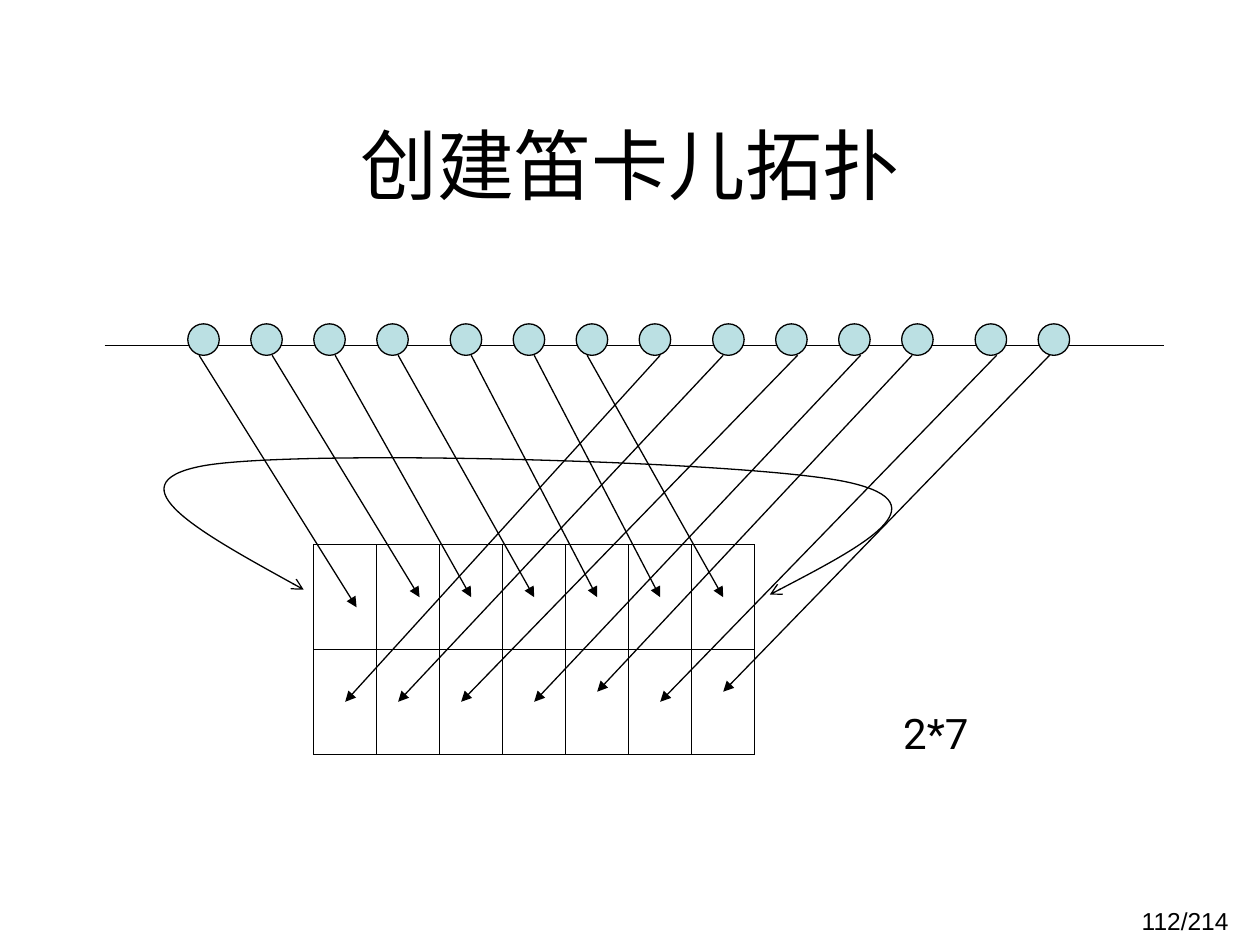
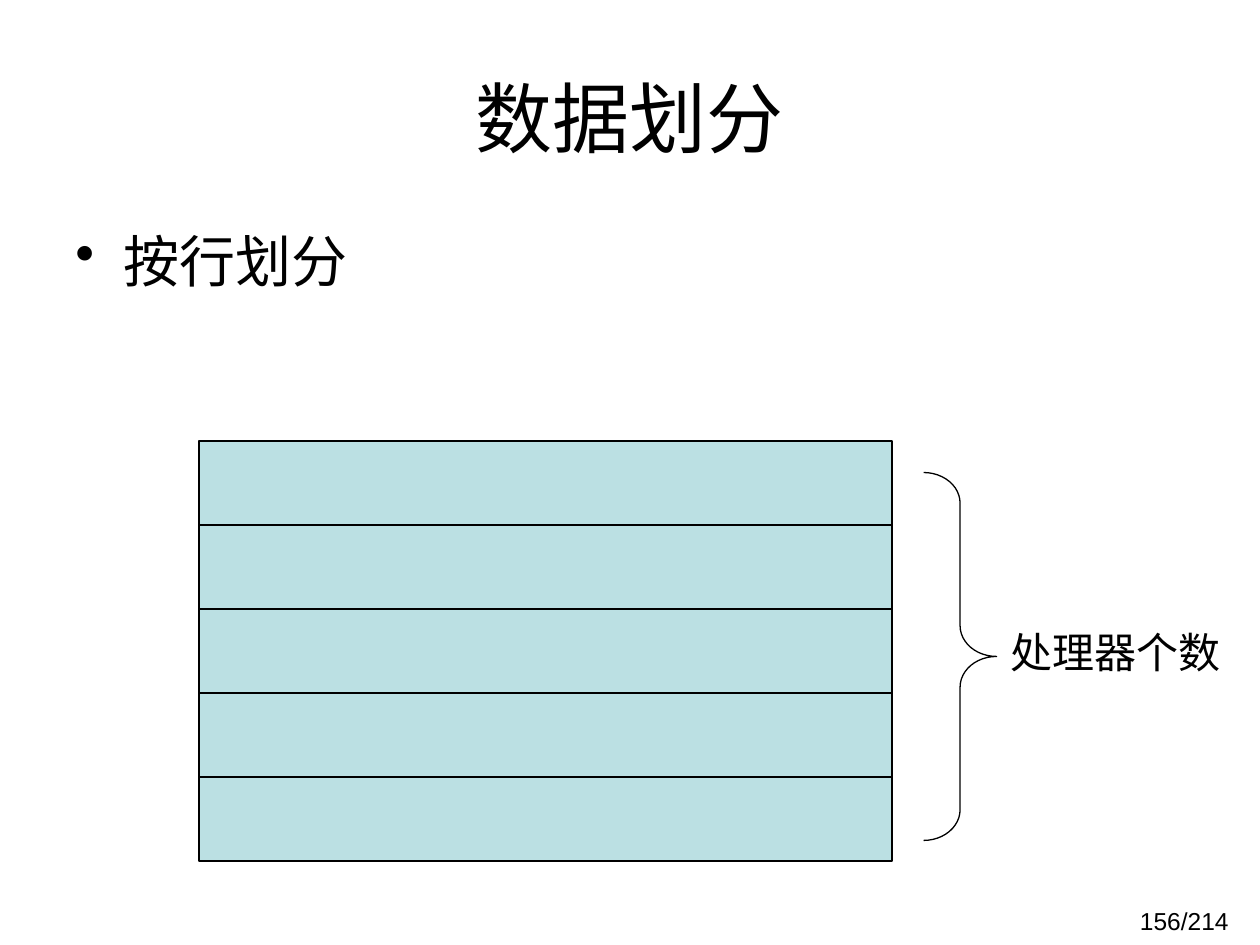
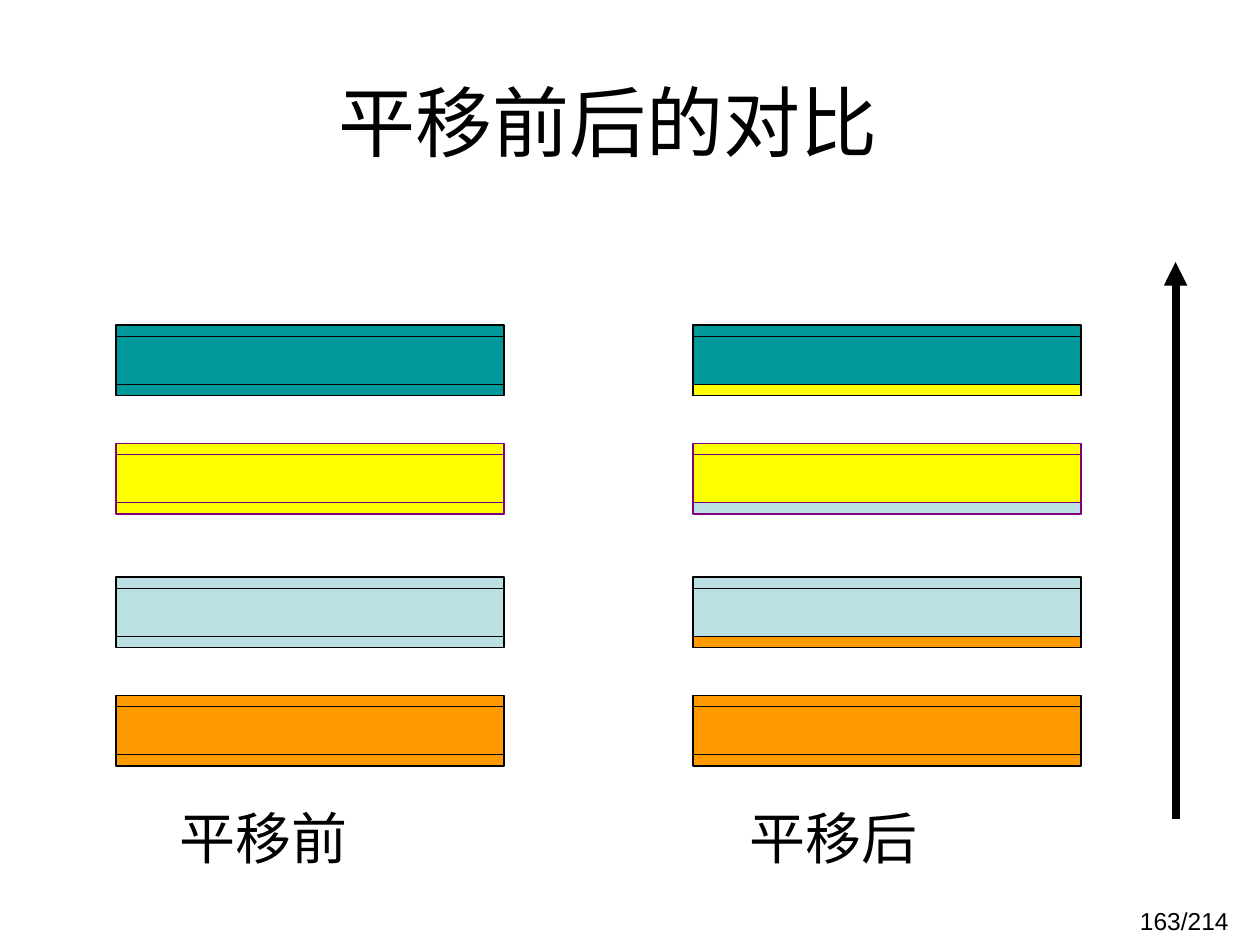
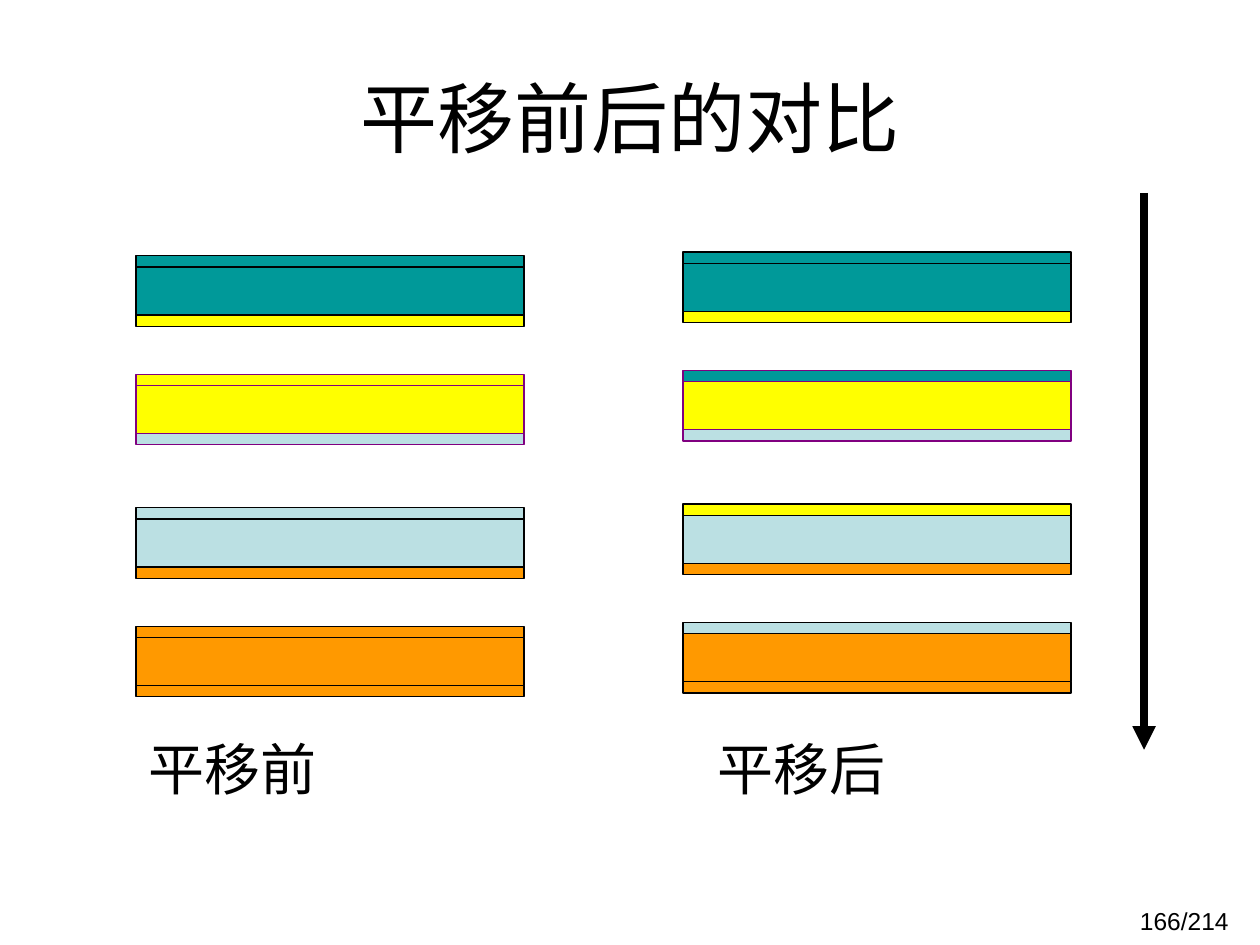
from typing import NamedTuple

from lxml import etree
from pptx import Presentation
from pptx import util as u
from pptx.dml.color import RGBColor
from pptx.enum import shapes, text
from pptx.oxml.ns import qn

BLACK, PURPLE = "000000", "800080"
TEAL, YELLOW, PALE_BLUE, ORANGE = "009999", "FFFF00", "BBE0E3", "FF9900"
TITLE_FONT, LABEL_FONT = "Arial", "Roboto"
THIN, THICK = 0.75, 4.5
PAGE_COUNT = 214


class Box(NamedTuple):
    left: float
    top: float
    width: float
    height: float

    def lengths(self) -> list:
        return [u.Inches(value) for value in self]


class Point(NamedTuple):
    x: float
    y: float


class Mapping(NamedTuple):
    """Arrow from a process on the line to its cell in the grid."""
    start_x: float
    end_x: float
    end_y: float


class Strip(NamedTuple):
    """One processor's block of rows."""
    offset: float
    fill: str
    outline: str


TITLE_BOX = Box(0.5, 0.3, 9, 1.25)
PAGE_BOX = Box(7.52, 7.14, 2.33, 0.36)

MAPPINGS = [
    Mapping(1.58, 2.83, 4.82), Mapping(2.16, 3.33, 4.74),
    Mapping(2.66, 3.74, 4.74), Mapping(3.16, 4.24, 4.74),
    Mapping(3.74, 4.74, 4.74), Mapping(4.24, 5.24, 4.74),
    Mapping(4.66, 5.74, 4.74), Mapping(5.24, 2.74, 5.57),
    Mapping(5.74, 3.16, 5.57), Mapping(6.33, 3.66, 5.57),
    Mapping(6.83, 4.24, 5.57), Mapping(7.24, 4.74, 5.49),
    Mapping(7.91, 5.24, 5.57), Mapping(8.33, 5.74, 5.49),
]

# Start point, then two control points and an end point per curve
WRAPAROUND = [
    Point(2.41, 4.68),
    Point(1.65, 4.26), Point(0.88, 3.84), Point(1.6, 3.7),
    Point(2.32, 3.56), Point(5.99, 3.66), Point(6.74, 3.83),
    Point(7.49, 4), Point(6.8, 4.36), Point(6.11, 4.72),
]

STRIPS = [
    Strip(0, TEAL, BLACK), Strip(0.94, YELLOW, PURPLE),
    Strip(2, PALE_BLUE, BLACK), Strip(2.94, ORANGE, BLACK),
]
STRIP_WIDTH, EDGE_HEIGHT, CORE_HEIGHT = 3.08, 0.09, 0.38


# Shared drawing functions
def color(value: str) -> RGBColor:
    return RGBColor.from_string(value)


def add_text(slide, content: str, box: Box, *, size: float, font: str = LABEL_FONT,
             align=text.PP_ALIGN.LEFT, anchor=text.MSO_ANCHOR.TOP, wrap: bool = True,
             before: float = 0, bullet: bool = False, tab_at: float = 0) -> None:
    frame = slide.shapes.add_textbox(*box.lengths()).text_frame
    frame.word_wrap = wrap
    frame.vertical_anchor = anchor
    paragraph = frame.paragraphs[0]
    paragraph.alignment = align
    paragraph.space_before = u.Pt(before)
    run = paragraph.add_run()
    run.text = content
    run.font.size = u.Pt(size)
    run.font.name = font
    run.font.color.rgb = color(BLACK)
    properties = paragraph._p.get_or_add_pPr()
    if bullet:
        indent = u.Inches(0.38)
        properties.set("marL", str(indent))
        properties.set("indent", str(-indent))
        etree.SubElement(properties, qn("a:buChar"), char="•")
    if tab_at:
        stops = etree.SubElement(properties, qn("a:tabLst"))
        etree.SubElement(stops, qn("a:tab"), pos=str(u.Inches(tab_at)), algn="l")


def add_outlined(slide, kind, box: Box, fill: str = "", outline: str = BLACK):
    shape = slide.shapes.add_shape(kind, *box.lengths())
    shape.shadow.inherit = False
    if fill:
        shape.fill.solid()
        shape.fill.fore_color.rgb = color(fill)
    else:
        shape.fill.background()
    shape.line.color.rgb = color(outline)
    shape.line.width = u.Pt(THIN)
    return shape


def add_arrowheads(shape, kind: str, *ends: str) -> None:
    line = shape.line._get_or_add_ln()
    for end in ends:
        etree.SubElement(line, qn(f"a:{end}"), type=kind)


def add_line(slide, start: Point, end: Point, width: float = THIN,
             arrow: bool = False) -> None:
    line = slide.shapes.add_connector(
        shapes.MSO_CONNECTOR.STRAIGHT, *[u.Inches(value) for value in (*start, *end)])
    line.line.color.rgb = color(BLACK)
    line.line.width = u.Pt(width)
    if arrow:
        add_arrowheads(line, "triangle", "tailEnd")
    etree.SubElement(line._element.spPr, qn("a:effectLst"))


def add_curve(slide, points: list[Point]) -> None:
    first, *rest = [(u.Inches(point.x), u.Inches(point.y)) for point in points]
    builder = slide.shapes.build_freeform(*first)
    builder.add_line_segments(rest, close=False)
    curve = builder.convert_to_shape()
    curve.shadow.inherit = False
    curve.fill.background()
    curve.line.color.rgb = color(BLACK)
    curve.line.width = u.Pt(THIN)
    add_arrowheads(curve, "arrow", "headEnd", "tailEnd")
    # Turn each three segments into one cubic curve
    outline = curve._element.find(".//" + qn("a:path"))
    segments = outline.findall(qn("a:lnTo"))
    for index in range(0, len(segments), 3):
        cubic = etree.SubElement(outline, qn("a:cubicBezTo"))
        for segment in segments[index:index + 3]:
            cubic.append(segment[0])
            outline.remove(segment)


def add_page(deck, title: str, number: int, title_box: Box = TITLE_BOX):
    slide = deck.slides.add_slide(deck.slide_layouts[6])
    add_text(slide, title, title_box, size=44, font=TITLE_FONT,
             align=text.PP_ALIGN.CENTER, anchor=text.MSO_ANCHOR.MIDDLE)
    add_text(slide, f"{number}/{PAGE_COUNT}", PAGE_BOX, size=14, font=TITLE_FONT,
             align=text.PP_ALIGN.RIGHT)
    return slide


def add_strips(slide, left: float, top: float, from_above: bool = False,
               from_below: bool = False) -> None:
    """Draw the strips; edge rows take a neighbour's colour once received."""
    last = len(STRIPS) - 1
    for index, strip in enumerate(STRIPS):
        above = STRIPS[max(index - 1, 0)] if from_above else strip
        below = STRIPS[min(index + 1, last)] if from_below else strip
        y = top + strip.offset
        rows = [
            (y + EDGE_HEIGHT, CORE_HEIGHT, strip.fill),
            (y + EDGE_HEIGHT + CORE_HEIGHT, EDGE_HEIGHT, below.fill),
            (y, EDGE_HEIGHT, above.fill),
        ]
        for row_top, height, fill in rows:
            add_outlined(slide, shapes.MSO_SHAPE.RECTANGLE,
                         Box(left, row_top, STRIP_WIDTH, height), fill, strip.outline)


def add_captions(slide, left: float, top: float) -> None:
    add_text(slide, "平移前\t平移后", Box(left, top, 7.33, 0.64), size=32,
             before=20, tab_at=4.52)


# Slides
def build_topology(deck) -> None:
    slide = add_page(deck, "创建笛卡儿拓扑", 112, Box(0.75, 0.67, 8.5, 1.25))
    add_line(slide, Point(0.83, 2.74), Point(9.24, 2.74))
    for rank in range(len(MAPPINGS)):
        group, member = divmod(rank, 4)
        add_outlined(slide, shapes.MSO_SHAPE.OVAL,
                     Box(1.49 + 2.083 * group + 0.5 * member, 2.57, 0.25, 0.25),
                     PALE_BLUE)
    # Grid of two rows and seven columns
    left, right, top, bottom = 2.49, 5.99, 4.32, 5.99
    for column in range(8):
        x = left + (right - left) * column / 7
        add_line(slide, Point(x, top), Point(x, bottom))
    for row in range(3):
        y = top + (bottom - top) * row / 2
        add_line(slide, Point(left, y), Point(right, y))
    for mapping in MAPPINGS:
        add_line(slide, Point(mapping.start_x, 2.82),
                 Point(mapping.end_x, mapping.end_y), arrow=True)
    add_text(slide, "2*7", Box(7.07, 5.57, 0.76, 0.5), size=24, before=15, wrap=False)
    add_curve(slide, WRAPAROUND)


def build_partition(deck) -> None:
    slide = add_page(deck, "数据划分", 156)
    add_text(slide, "按行划分", Box(0.5, 1.75, 9, 1.19), size=32, font=TITLE_FONT,
             before=8, bullet=True)
    row_height = 2 / 3
    for row in range(5):
        add_outlined(slide, shapes.MSO_SHAPE.RECTANGLE,
                     Box(1.58, 3.5 + row * row_height, 5.5, row_height), PALE_BLUE)
    brace = add_outlined(slide, shapes.MSO_SHAPE.RIGHT_BRACE, Box(7.33, 3.75, 0.58, 2.92))
    brace.adjustments[0] = 0.42
    brace.adjustments[1] = 0.5
    add_text(slide, "处理器个数", Box(7.92, 4.92, 1.92, 0.5), size=24, before=15)


def build_shift_up(deck) -> None:
    slide = add_page(deck, "平移前后的对比", 163, Box(0.58, 0.33, 8.5, 1.25))
    add_strips(slide, 0.92, 2.58)
    add_strips(slide, 5.5, 2.58, from_below=True)
    add_line(slide, Point(9.33, 6.5), Point(9.33, 2.08), THICK, arrow=True)
    add_captions(slide, 1.33, 6.33)


def build_shift_down(deck) -> None:
    slide = add_page(deck, "平移前后的对比", 166)
    add_strips(slide, 1.08, 2.03, from_below=True)
    add_strips(slide, 5.42, 2, from_above=True, from_below=True)
    add_line(slide, Point(9.08, 1.53), Point(9.08, 5.95), THICK, arrow=True)
    add_captions(slide, 1.08, 5.78)


def main() -> None:
    deck = Presentation()
    deck.slide_width, deck.slide_height = u.Inches(10), u.Inches(7.5)
    for build in (build_topology, build_partition, build_shift_up, build_shift_down):
        build(deck)
    deck.save("out.pptx")


if __name__ == "__main__":
    main()
